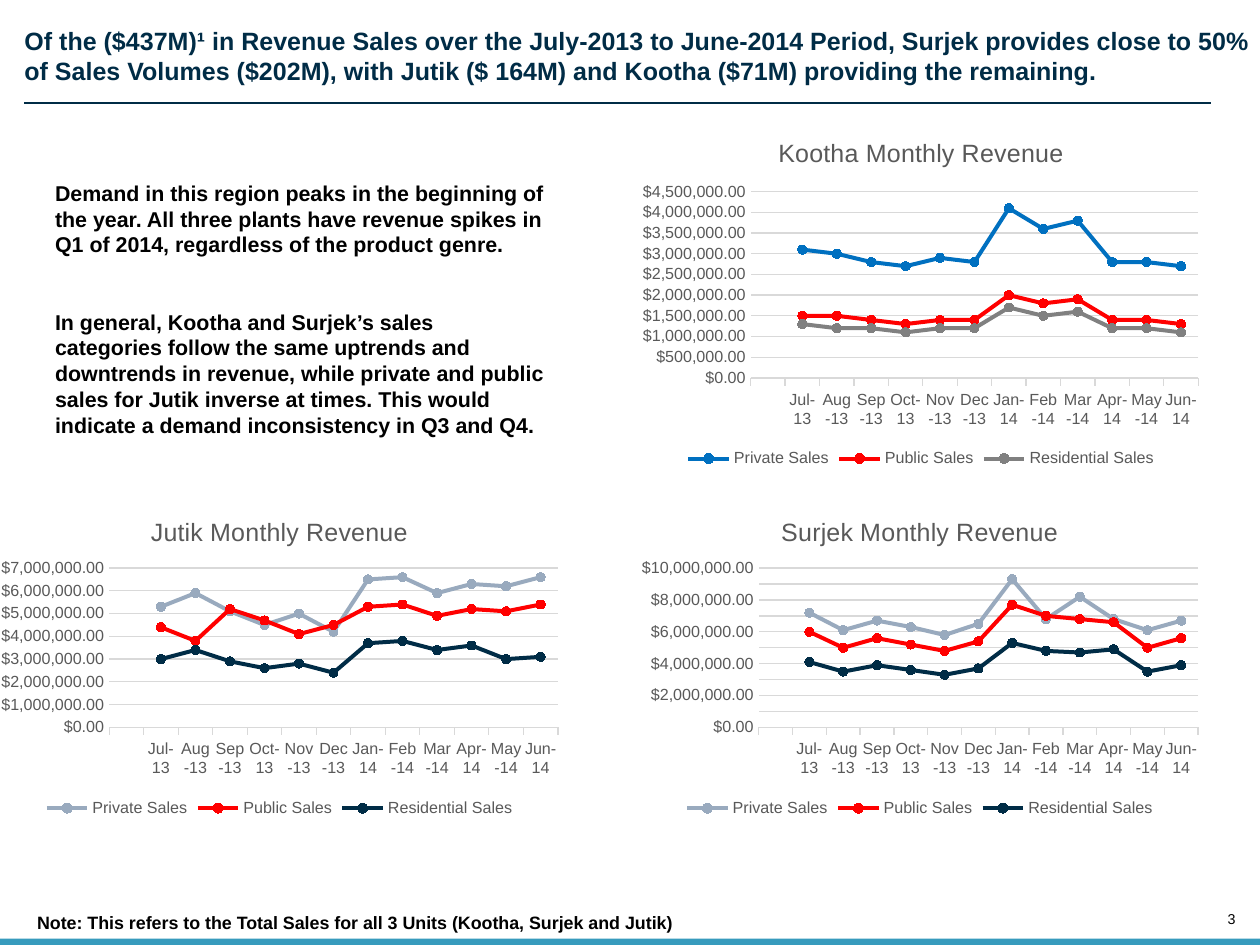
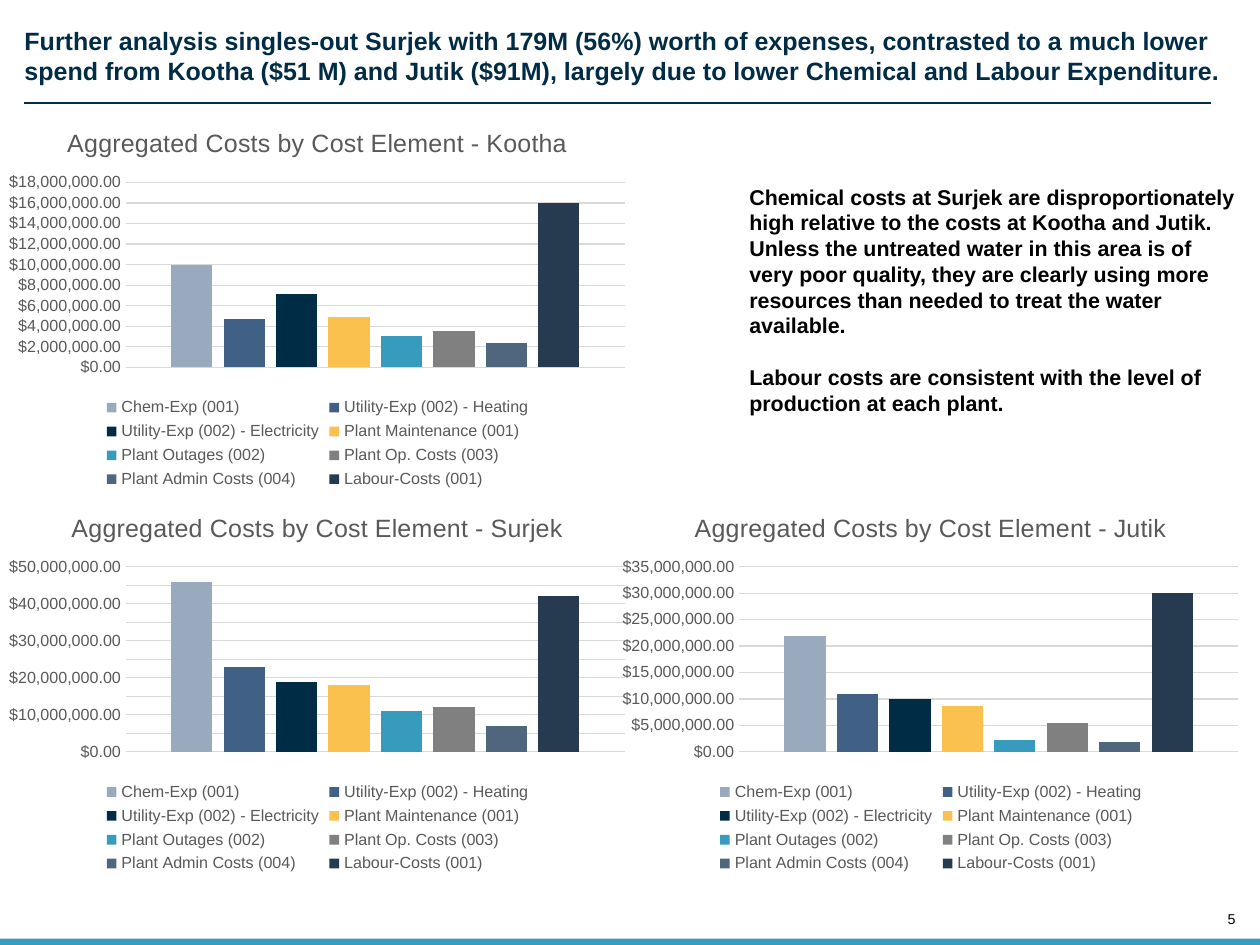
"""Build two revenue and cost slides for three plants."""
from lxml import etree
from pptx import Presentation
from pptx.chart.data import CategoryChartData
from pptx.dml.color import RGBColor
from pptx.enum import chart as ch, shapes, text
from pptx.oxml import parse_xml
from pptx.oxml.ns import nsdecls, qn
from pptx.util import Inches, Pt

FONT = "Arial"
NAVY = RGBColor(0x00, 0x2C, 0x46)
TEAL = RGBColor(0x37, 0x9B, 0xBD)
BLACK = RGBColor(0x00, 0x00, 0x00)
RED = RGBColor(0xFF, 0x00, 0x00)
BLUE = RGBColor(0x00, 0x70, 0xC0)
GRAY = RGBColor(0x80, 0x80, 0x80)
MIST = RGBColor(0x99, 0xAA, 0xBE)
STEEL = RGBColor(0x40, 0x60, 0x85)
GOLD = RGBColor(0xFB, 0xC1, 0x4E)
SLATE = RGBColor(0x50, 0x65, 0x7E)
INK = RGBColor(0x26, 0x3A, 0x50)
CHART_TEXT = RGBColor(0x59, 0x59, 0x59)
GRID = RGBColor(0xD9, 0xD9, 0xD9)

DOLLARS = '"$"#,##0.00;[Red]\\-"$"#,##0.00'
MONTHS = ["", "Jul-13", "Aug-13", "Sep-13", "Oct-13", "Nov-13", "Dec-13",
          "Jan-14", "Feb-14", "Mar-14", "Apr-14", "May-14", "Jun-14"]
SALES = ["Private Sales", "Public Sales", "Residential Sales"]
COSTS = {
    "Chem-Exp (001)": MIST,
    "Utility-Exp (002) - Heating": STEEL,
    "Utility-Exp (002) - Electricity": NAVY,
    "Plant Maintenance (001)": GOLD,
    "Plant Outages (002)": TEAL,
    "Plant Op. Costs (003)": GRAY,
    "Plant Admin Costs (004)": SLATE,
    "Labour-Costs (001)": INK,
}

REVENUE_CHARTS = [
    dict(plant="Kootha", at=(4.91, 0.92, 4.51, 2.76), plot=(0.93, 0.57, 3.48, 1.45),
         top=4.5, step=0.5, colors=[BLUE, RED, GRAY], rows=[
             [3.1, 3.0, 2.8, 2.7, 2.9, 2.8, 4.1, 3.6, 3.8, 2.8, 2.8, 2.7],
             [1.5, 1.5, 1.4, 1.3, 1.4, 1.4, 2.0, 1.8, 1.9, 1.4, 1.4, 1.3],
             [1.3, 1.2, 1.2, 1.1, 1.2, 1.2, 1.7, 1.5, 1.6, 1.2, 1.2, 1.1]]),
    dict(plant="Surjek", at=(4.9, 3.87, 4.51, 2.53), plot=(1, 0.55, 3.42, 1.24),
         top=10, step=1, colors=[MIST, RED, NAVY], rows=[
             [7.2, 6.1, 6.7, 6.3, 5.8, 6.5, 9.3, 6.8, 8.2, 6.8, 6.1, 6.7],
             [6.0, 5.0, 5.6, 5.2, 4.8, 5.4, 7.7, 7.0, 6.8, 6.6, 5.0, 5.6],
             [4.1, 3.5, 3.9, 3.6, 3.3, 3.7, 5.3, 4.8, 4.7, 4.9, 3.5, 3.9]]),
    dict(plant="Jutik", at=(-0.08, 3.87, 4.51, 2.53), plot=(0.93, 0.55, 3.49, 1.24),
         top=7, step=1, colors=[MIST, RED, NAVY], rows=[
             [5.3, 5.9, 5.1, 4.5, 5.0, 4.2, 6.5, 6.6, 5.9, 6.3, 6.2, 6.6],
             [4.4, 3.8, 5.2, 4.7, 4.1, 4.5, 5.3, 5.4, 4.9, 5.2, 5.1, 5.4],
             [3.0, 3.4, 2.9, 2.6, 2.8, 2.4, 3.7, 3.8, 3.4, 3.6, 3.0, 3.1]]),
]
COST_CHARTS = [
    dict(plant="Kootha", at=(-0.03, 0.84, 5, 3), top=18, step=2,
         costs=[10, 4.7, 7.1, 4.9, 3.1, 3.5, 2.4, 16]),
    dict(plant="Surjek", at=(-0.03, 3.83, 5, 3), top=50, step=5,
         costs=[46, 23, 19, 18, 11, 12, 7, 42]),
    dict(plant="Jutik", at=(4.74, 3.83, 5, 3), top=35, step=5,
         costs=[22, 11, 10, 8.7, 2.2, 5.5, 1.9, 30]),
]


def inches(values):
    return [Inches(value) for value in values]


def millions(value):
    return None if value is None else round(value * 1_000_000)


def style_font(font, size, color, bold=False):
    font.name, font.size, font.bold = FONT, Pt(size), bold
    font.color.rgb = color


def write_text(frame, *paragraphs, size=12, color=BLACK, bold=True, align=None,
               anchor=text.MSO_ANCHOR.TOP, inset=None, wrap=True, gap=0):
    frame.word_wrap = wrap
    frame.auto_size = text.MSO_AUTO_SIZE.NONE
    frame.vertical_anchor = anchor
    if inset is not None:
        frame.margin_left = frame.margin_right = Inches(inset)
        frame.margin_top = frame.margin_bottom = Inches(inset)
    for index, words in enumerate(paragraphs):
        para = frame.paragraphs[0] if index == 0 else frame.add_paragraph()
        para.alignment = align
        para.space_before = Pt(gap if index else 0)
        span = para.add_run()
        span.text = words
        style_font(span.font, size, color, bold)


def add_text(page, at, *paragraphs, **style):
    box = page.shapes.add_textbox(*inches(at))
    write_text(box.text_frame, *paragraphs, **style)


def add_page(deck, title, number):
    page = deck.slides.add_slide(deck.slide_layouts[5])
    band = page.shapes.add_shape(shapes.MSO_SHAPE.RECTANGLE, *inches((0, 7.3, 9.8, 0.05)))
    band.shadow.inherit = False
    band.fill.solid()
    band.fill.fore_color.rgb = TEAL
    band.line.fill.background()
    heading = page.shapes.title
    heading.left, heading.top, heading.width, heading.height = inches((0.19, 0.2, 9.56, 0.47))
    write_text(heading.text_frame, title, size=14, color=NAVY, inset=0,
               align=text.PP_ALIGN.LEFT)
    rule = page.shapes.add_connector(shapes.MSO_CONNECTOR.STRAIGHT,
                                     *inches((0.19, 0.8, 9.42, 0.8)))
    rule.line.color.rgb = NAVY
    rule.line.width = Pt(0.75)
    etree.SubElement(rule.element.spPr, qn("a:effectLst"))
    add_text(page, (9.31, 7.08, 0.3, 0.13), number, size=8, bold=False, inset=0, wrap=False,
             align=text.PP_ALIGN.RIGHT, anchor=text.MSO_ANCHOR.BOTTOM)
    return page


def place_plot(chart, at, plot):
    left, top, width, height = plot
    parts = dict(x=left / at[2], y=top / at[3], w=width / at[2], h=height / at[3])
    modes = "".join(f'<c:{key}Mode val="edge"/>' for key in "xy")
    sizes = "".join(f'<c:{key} val="{value:.3f}"/>' for key, value in parts.items())
    area = chart.element.find(".//" + qn("c:plotArea"))
    for layout in area.findall(qn("c:layout")):
        area.remove(layout)
    area.insert(0, parse_xml(
        f'<c:layout {nsdecls("c")}><c:manualLayout><c:layoutTarget val="inner"/>'
        f'{modes}{sizes}</c:manualLayout></c:layout>'))


def add_dollar_chart(page, kind, title, categories, rows, at, plot, top, step):
    data = CategoryChartData(number_format=DOLLARS)
    data.categories = categories
    for name, values in rows:
        data.add_series(name, [millions(value) for value in values])
    chart = page.shapes.add_chart(kind, *inches(at), data).chart
    style_font(chart.font, 10, BLACK)
    chart.has_title = True
    title_frame = chart.chart_title.text_frame
    title_frame.text = title
    style_font(title_frame.paragraphs[0].runs[0].font, 14, CHART_TEXT)
    chart.chart_title.include_in_layout = False
    chart.has_legend = True
    chart.legend.position = ch.XL_LEGEND_POSITION.BOTTOM
    chart.legend.include_in_layout = False
    style_font(chart.legend.font, 9, CHART_TEXT)
    axis = chart.value_axis
    axis.minimum_scale, axis.maximum_scale = 0, millions(top)
    axis.major_unit = millions(step)
    axis.major_tick_mark = ch.XL_TICK_MARK.NONE
    axis.format.line.fill.background()
    axis.major_gridlines.format.line.color.rgb = GRID
    axis.major_gridlines.format.line.width = Pt(0.75)
    axis.tick_labels.number_format = DOLLARS
    axis.tick_labels.number_format_is_linked = False
    style_font(axis.tick_labels.font, 9, CHART_TEXT)
    place_plot(chart, at, plot)
    chart.plots[0].vary_by_categories = False
    return chart


def add_revenue_chart(page, plant, at, plot, top, step, colors, rows):
    series_rows = [(name, [None] + row) for name, row in zip(SALES, rows)]
    chart = add_dollar_chart(page, ch.XL_CHART_TYPE.LINE_MARKERS, f"{plant} Monthly Revenue",
                             MONTHS, series_rows, at, plot, top, step)
    axis = chart.category_axis
    axis.major_tick_mark = ch.XL_TICK_MARK.OUTSIDE
    axis.format.line.color.rgb = GRID
    axis.format.line.width = Pt(0.75)
    style_font(axis.tick_labels.font, 9, CHART_TEXT)
    for series, color in zip(chart.plots[0].series, colors):
        series.smooth = False
        series.format.line.color.rgb = color
        series.format.line.width = Pt(2.25)
        marker = series.marker
        marker.style = ch.XL_MARKER_STYLE.CIRCLE
        marker.size = 5
        marker.format.fill.solid()
        marker.format.fill.fore_color.rgb = color
        marker.format.line.color.rgb = color


def add_cost_chart(page, plant, at, top, step, costs):
    rows = [(name, [cost]) for name, cost in zip(COSTS, costs)]
    chart = add_dollar_chart(page, ch.XL_CHART_TYPE.COLUMN_CLUSTERED,
                             f"Aggregated Costs by Cost Element - {plant}", ["1"], rows,
                             at, (1.01, 0.58, 3.88, 1.44), top, step)
    chart.category_axis.visible = False
    bars = chart.plots[0]
    bars.gap_width, bars.overlap = 219, -27
    for series, color in zip(bars.series, COSTS.values()):
        series.format.fill.solid()
        series.format.fill.fore_color.rgb = color


def main():
    deck = Presentation()
    deck.slide_width, deck.slide_height = Inches(9.8), Inches(7.35)

    revenue = add_page(
        deck, "Of the ($437M)¹ in Revenue Sales over the July-2013 to June-2014 Period, "
        "Surjek provides close to 50% of Sales Volumes ($202M), with Jutik ($ 164M) and "
        "Kootha ($71M) providing the remaining.", "3")
    add_text(revenue, (0.19, 7.04, 9.31, 0.27),
             "Note: This refers to the Total Sales for all 3 Units (Kootha, Surjek and Jutik)",
             size=10)
    add_text(revenue, (0.33, 1.35, 4.01, 2.32),
             "Demand in this region peaks in the beginning of the year. All three plants have "
             "revenue spikes in Q1 of 2014, regardless of the product genre.",
             "In general, Kootha and Surjek’s sales categories follow the same uptrends and "
             "downtrends in revenue, while private and public sales for Jutik inverse at times. "
             "This would indicate a demand inconsistency in Q3 and Q4.", gap=29)
    for revenue_chart in REVENUE_CHARTS:
        add_revenue_chart(revenue, **revenue_chart)

    expenses = add_page(
        deck, "Further analysis singles-out Surjek with 179M (56%) worth of expenses, "
        "contrasted to a much lower spend from Kootha ($51 M) and Jutik ($91M), largely due "
        "to lower Chemical and Labour Expenditure.", "5")
    add_text(expenses, (5.73, 1.38, 4.01, 1.92),
             "Chemical costs at Surjek are disproportionately high relative to the costs at "
             "Kootha and Jutik. Unless the untreated water in this area is of very poor "
             "quality, they are clearly using more resources than needed to treat the water "
             "available.",
             "Labour costs are consistent with the level of production at each plant.", gap=14.5)
    for cost_chart in COST_CHARTS:
        add_cost_chart(expenses, **cost_chart)

    deck.save("out.pptx")


main()
